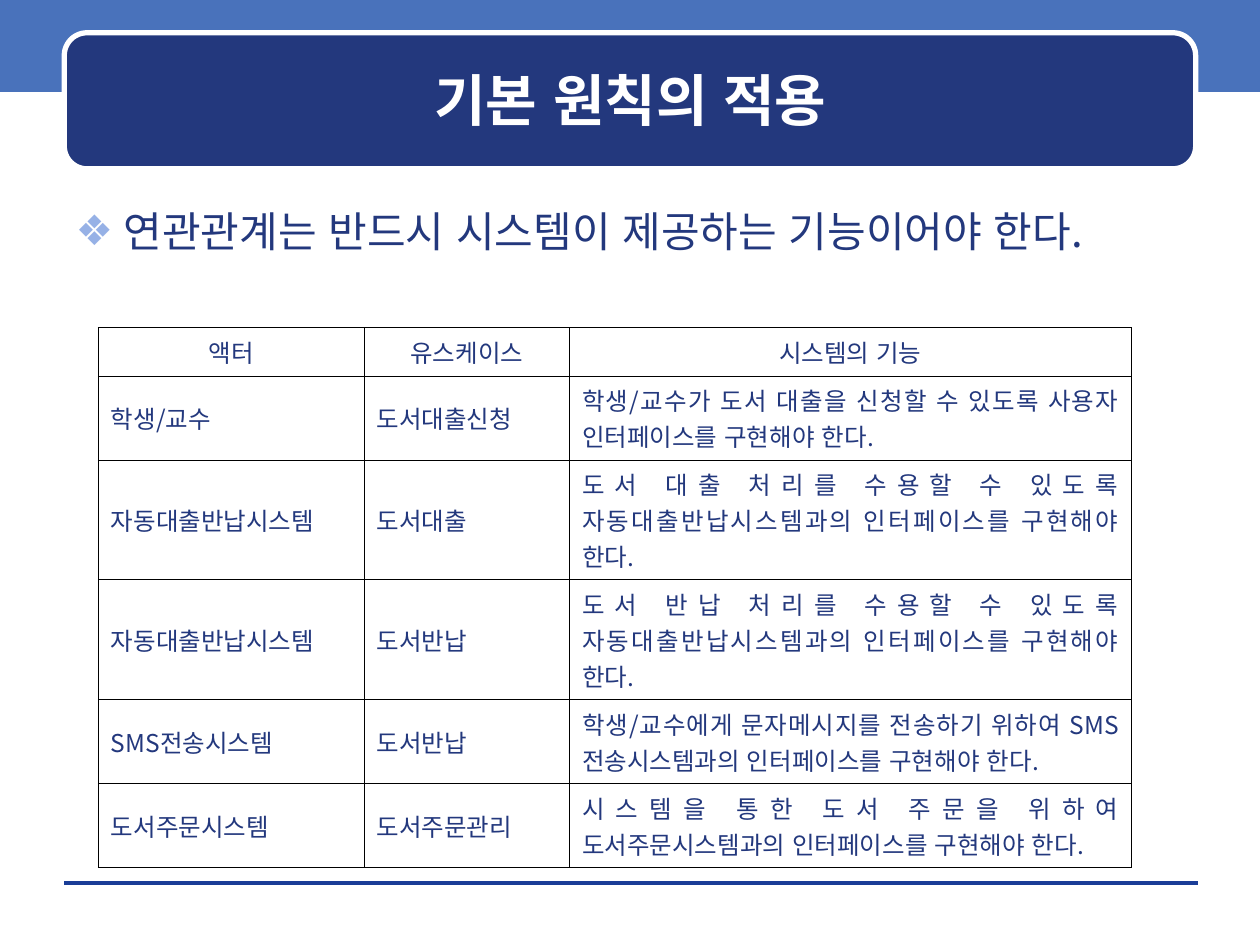
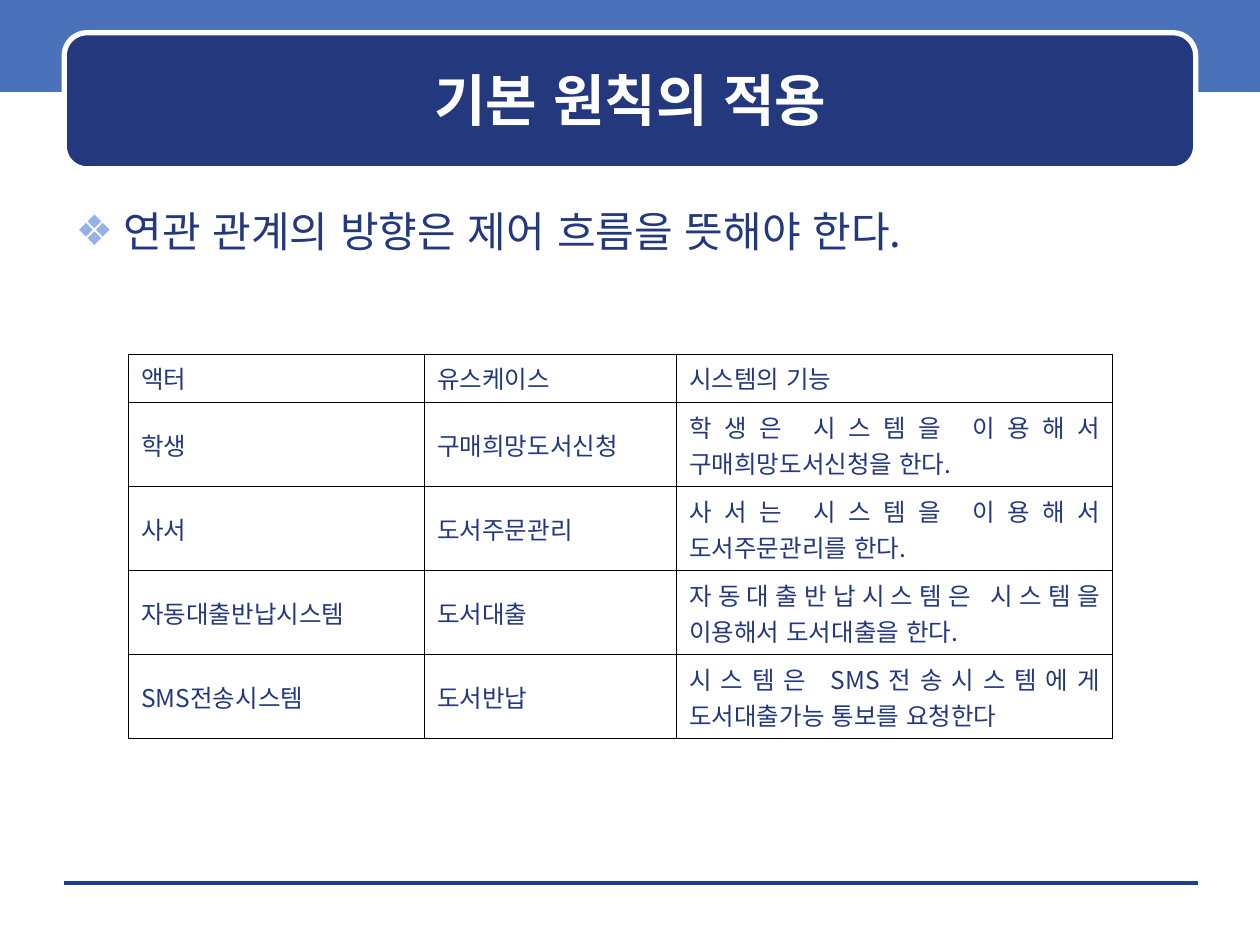
from dataclasses import dataclass

from lxml import etree
from pptx import Presentation
from pptx.dml.color import RGBColor
from pptx.enum.lang import MSO_LANGUAGE_ID as Language
from pptx.enum.shapes import MSO_CONNECTOR as Connector, MSO_SHAPE as Shape
from pptx.enum.text import MSO_ANCHOR as Anchor, MSO_AUTO_SIZE as AutoSize, PP_ALIGN as Align
from pptx.oxml.ns import qn
from pptx.util import Inches, Pt


@dataclass(frozen=True)
class Theme:
    font: str = "Noto Sans CJK KR"
    band: RGBColor = RGBColor.from_string("4972BB")
    navy: RGBColor = RGBColor.from_string("23387D")
    rule: RGBColor = RGBColor.from_string("1A3D97")
    white: RGBColor = RGBColor.from_string("FFFFFF")
    bullet: str = "96B1E6"
    border: str = "000000"
    border_width: Pt = Pt(0.45)
    title_size: Pt = Pt(32)
    body_size: Pt = Pt(24)
    table_size: Pt = Pt(14)


theme = Theme()


def format_text(paragraph, size, color, align, bold=False):
    """Apply the Korean face, size and colour to every run of a paragraph."""
    paragraph.alignment = align
    for run in paragraph.runs:
        font = run.font
        font.size, font.bold, font.name = size, bold, theme.font
        font.color.rgb = color
        font.language_id = Language.KOREAN
        latin = font._element.find(qn("a:latin"))
        latin.addnext(latin.makeelement(qn("a:ea"), {"typeface": theme.font}))


def add_borders(cell):
    properties = cell._tc.get_or_add_tcPr()
    for position, side in enumerate(("lnL", "lnR", "lnT", "lnB")):
        line = properties.makeelement(qn(f"a:{side}"), {"w": str(int(theme.border_width))})
        fill = etree.SubElement(line, qn("a:solidFill"))
        etree.SubElement(fill, qn("a:srgbClr"), val=theme.border)
        properties.insert(position, line)


HEADER = ("액터", "유스케이스", "시스템의 기능")
LINE_HEIGHTS = {1: 0.34, 2: 0.57, 3: 0.8}

slides = [
    {
        "statement": "연관관계는 반드시 시스템이 제공하는 기능이어야 한다.",
        "origin": (0.78, 2.6),
        "columns": (2.11, 1.63, 4.46),
        "lines": (1, 2, 3, 3, 2, 2),
        "header_align": Align.CENTER,
        "rows": [
            ("학생/교수", "도서대출신청",
             "학생/교수가 도서 대출을 신청할 수 있도록 사용자 인터페이스를 구현해야 한다."),
            ("자동대출반납시스템", "도서대출",
             "도서 대출 처리를 수용할 수 있도록 자동대출반납시스템과의 인터페이스를 구현해야 한다."),
            ("자동대출반납시스템", "도서반납",
             "도서 반납 처리를 수용할 수 있도록 자동대출반납시스템과의 인터페이스를 구현해야 한다."),
            ("SMS전송시스템", "도서반납",
             "학생/교수에게 문자메시지를 전송하기 위하여 SMS전송시스템과의 인터페이스를 구현해야 한다."),
            ("도서주문시스템", "도서주문관리",
             "시스템을 통한 도서 주문을 위하여 도서주문시스템과의 인터페이스를 구현해야 한다."),
        ],
    },
    {
        "statement": "연관 관계의 방향은 제어 흐름을 뜻해야 한다.",
        "origin": (1.02, 2.81),
        "columns": (2.35, 2, 3.46),
        "lines": (1, 2, 2, 2, 2),
        "header_align": Align.JUSTIFY,
        "rows": [
            ("학생", "구매희망도서신청", "학생은 시스템을 이용해서 구매희망도서신청을 한다."),
            ("사서", "도서주문관리", "사서는 시스템을 이용해서 도서주문관리를 한다."),
            ("자동대출반납시스템", "도서대출", "자동대출반납시스템은 시스템을 이용해서 도서대출을 한다."),
            ("SMS전송시스템", "도서반납", "시스템은 SMS전송시스템에게 도서대출가능 통보를 요청한다"),
        ],
    },
]

presentation = Presentation()
presentation.slide_width, presentation.slide_height = Inches(10), Inches(7.5)
layout = presentation.slide_layouts[1]
pages = [presentation.slides.add_slide(layout) for _ in slides]

# Shared decoration: drawn on the first slide, then moved to the layout
shapes = pages[0].shapes
band = shapes.add_shape(Shape.RECTANGLE, Inches(0), Inches(-0.03), Inches(10), Inches(0.76))
band.fill.solid()
band.fill.fore_color.rgb = theme.band
band.line.fill.background()
band.shadow.inherit = False

footer_rule = shapes.add_connector(
    Connector.STRAIGHT, Inches(0.51), Inches(7.01), Inches(9.51), Inches(7.01))
footer_rule.line.color.rgb = theme.rule
footer_rule.line.width = Pt(0)
etree.SubElement(footer_rule._element.spPr, qn("a:effectLst"))

title_panel = shapes.add_shape(
    Shape.ROUNDED_RECTANGLE, Inches(0.51), Inches(0.26), Inches(8.98), Inches(1.08))
title_panel.adjustments[0] = 0.167
title_panel.fill.solid()
title_panel.fill.fore_color.rgb = theme.navy
title_panel.line.color.rgb = theme.white
title_panel.line.width = Pt(3)
title_panel.shadow.inherit = False

for position, shape in enumerate((band, footer_rule, title_panel), start=2):
    layout.shapes.element.insert(position, shape.element)

for slide, content in zip(pages, slides):
    title = slide.shapes.title
    title.left, title.top, title.width, title.height = map(Inches, (0.6, 0.35, 8.81, 0.88))
    title.text_frame.text = "기본 원칙의 적용"
    title.text_frame.vertical_anchor = Anchor.MIDDLE
    title.text_frame.auto_size = AutoSize.NONE
    format_text(title.text_frame.paragraphs[0], theme.title_size, theme.white, Align.CENTER, True)

    body = slide.placeholders[1]
    body.left, body.top, body.width, body.height = map(Inches, (0.5, 1.58, 9, 5.33))
    body.text_frame.text = content["statement"]
    body.text_frame.auto_size = AutoSize.NONE
    statement = body.text_frame.paragraphs[0]
    properties = statement._p.get_or_add_pPr()
    properties.set("marL", str(Inches(0.38)))
    properties.set("indent", str(Inches(-0.38)))
    bullet_color = etree.SubElement(properties, qn("a:buClr"))
    etree.SubElement(bullet_color, qn("a:srgbClr"), val=theme.bullet)
    etree.SubElement(properties, qn("a:buChar"), char="❖")
    statement.space_before = Pt(0)
    format_text(statement, theme.body_size, theme.navy, Align.LEFT)

    rows = [HEADER, *content["rows"]]
    heights = [LINE_HEIGHTS[count] for count in content["lines"]]
    left, top = content["origin"]
    table = slide.shapes.add_table(
        len(rows), len(HEADER), Inches(left), Inches(top),
        Inches(sum(content["columns"])), Inches(sum(heights))).table
    table.first_row = table.horz_banding = False
    for column, width in zip(table.columns, content["columns"]):
        column.width = Inches(width)
    for row_index, (texts, height) in enumerate(zip(rows, heights)):
        table.rows[row_index].height = Inches(height)
        align = Align.JUSTIFY if row_index else content["header_align"]
        for column_index, text in enumerate(texts):
            cell = table.cell(row_index, column_index)
            cell.text_frame.text = text
            cell.vertical_anchor = Anchor.MIDDLE
            cell.fill.background()
            add_borders(cell)
            format_text(cell.text_frame.paragraphs[0], theme.table_size, theme.navy, align)

presentation.save("out.pptx")
